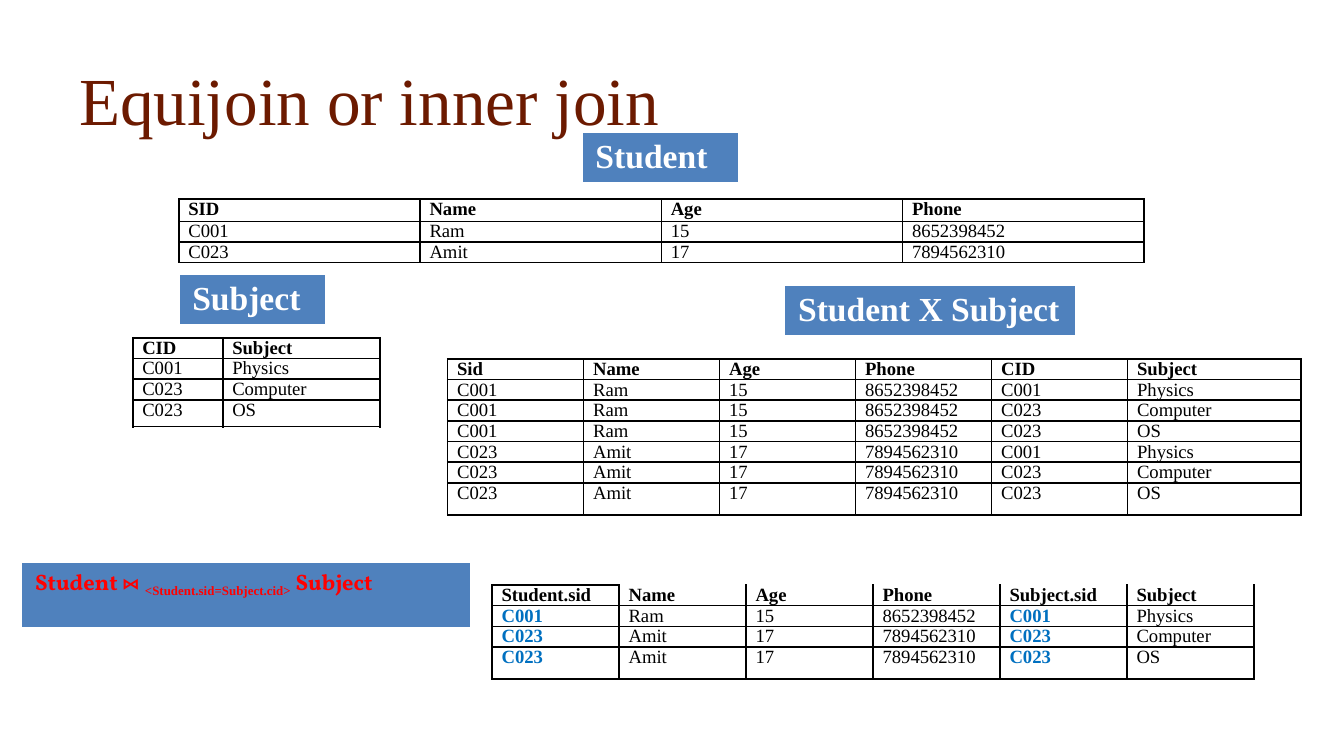
"""Builds a slide that explains the equijoin with two tables, their product and the join result."""
from itertools import product

from lxml.etree import SubElement
from pptx import Presentation
from pptx.dml.color import RGBColor
from pptx.enum.text import MSO_ANCHOR, PP_ALIGN
from pptx.oxml.ns import qn
from pptx.util import Cm, Pt

FONT = "Times New Roman"
BLACK, WHITE, RED = "000000", "FFFFFF", "FF0000"
BLUE, KEY_BLUE, BROWN = "4F81BD", "0070C0", "6C1A00"
ROW, LAST_ROW = 0.39, 0.61

TITLE = "Equijoin or inner join"
STUDENT_HEAD = ["SID", "Name", "Age", "Phone"]
STUDENTS = [
    ["C001", "Ram", "15", "8652398452"],
    ["C023", "Amit", "17", "7894562310"],
]
SUBJECT_HEAD = ["CID", "Subject"]
SUBJECTS = [["C001", "Physics"], ["C023", "Computer"], ["C023", "OS"]]
CROSS_HEAD = ["Sid", "Name", "Age", "Phone", "CID", "Subject"]
CROSS = [student + subject for student, subject in product(STUDENTS, SUBJECTS)]
JOIN_HEAD = ["Student.sid", "Name", "Age", "Phone", "Subject.sid", "Subject"]
JOINED = [row for row in CROSS if row[0] == row[4]]

LABELS = [
    ("Student", 11, 2.49, 2.97),
    ("Subject", 3.38, 5.18, 2.77),
    ("Student X Subject", 14.83, 5.38, 5.51),
]
FORMULA = [
    ("Student ", "Vollkorn", False),
    ("⋈ ", FONT, False),
    ("<Student.sid=Subject.cid>", FONT, True),
    (" Subject", "Vollkorn", False),
]


def rgb(color):
    return RGBColor.from_string(color)


def style(p, size, color, bold=False, name=FONT):
    p.font.size, p.font.bold, p.font.name = Pt(size), bold, name
    p.font.color.rgb = rgb(color)


def fill(cell, color):
    cell.fill.solid()
    cell.fill.fore_color.rgb = rgb(color)


def border(cell, sides):
    tc_pr = cell._tc.get_or_add_tcPr()
    for side in sides:
        ln = SubElement(tc_pr, qn(f"a:ln{side}"), w=str(Pt(1)))
        SubElement(SubElement(ln, qn("a:solidFill")), qn("a:srgbClr"), val=BLACK)


def add_table(s, x, y, widths, heights):
    frame = s.shapes.add_table(len(heights), len(widths), Cm(x), Cm(y),
                               Cm(sum(widths)), Cm(sum(heights)))
    table = frame.table
    for column, width in zip(table.columns, widths):
        column.width = Cm(width)
    for row, height in zip(table.rows, heights):
        row.height = Cm(height)
    return table


def add_relation(s, x, y, widths, heights, rows, keys=(), open_top=()):
    table = add_table(s, x, y, widths, heights)
    for i, row in enumerate(rows):
        for j, text in enumerate(row):
            cell = table.cell(i, j)
            cell.margin_left = cell.margin_right = Cm(0.18)
            cell.margin_top = cell.margin_bottom = 0
            border(cell, "LRB" if i == 0 and j in open_top else "LRTB")
            fill(cell, WHITE)
            is_key = i > 0 and j in keys
            p = cell.text_frame.paragraphs[0]
            p.text = text
            style(p, 10, KEY_BLUE if is_key else BLACK, i == 0 or is_key)


def add_label(s, text, x, y, width):
    cell = add_table(s, x, y, [width], [0.89]).cell(0, 0)
    fill(cell, BLUE)
    p = cell.text_frame.paragraphs[0]
    p.text = text
    style(p, 18, WHITE, True)


def add_formula(s, x, y, width, height):
    cell = add_table(s, x, y, [width], [height]).cell(0, 0)
    fill(cell, BLUE)
    p = cell.text_frame.paragraphs[0]
    style(p, 12, RED, True)
    for text, name, subscript in FORMULA:
        r = p.add_run()
        r.text, r.font.name = text, name
        if subscript:
            r.font._element.set("baseline", "-25000")


def add_title(s):
    sp = s.shapes.title
    sp.left, sp.top, sp.width, sp.height = Cm(1.24), Cm(0.79), Cm(22.91), Cm(2.13)
    tf = sp.text_frame
    tf.text, tf.vertical_anchor = TITLE, MSO_ANCHOR.MIDDLE
    p = tf.paragraphs[0]
    p.alignment = PP_ALIGN.LEFT
    style(p, 36, BROWN)


def main():
    prs = Presentation()
    prs.slide_width, prs.slide_height = Cm(25.4), Cm(14.28)
    s = prs.slides.add_slide(prs.slide_layouts[5])
    add_title(s)
    add_relation(s, 3.38, 3.76, [4.56] * 4, [0.42] + [ROW] * 2,
                 [STUDENT_HEAD] + STUDENTS)
    add_relation(s, 2.51, 6.38, [1.7, 2.97], [ROW] * 3 + [0.51],
                 [SUBJECT_HEAD] + SUBJECTS)
    add_relation(s, 8.46, 6.78, [2.57] * 5 + [3.28], [ROW] * 6 + [LAST_ROW],
                 [CROSS_HEAD] + CROSS)
    for label in LABELS:
        add_label(s, *label)
    add_formula(s, 0.41, 10.62, 8.48, 1.24)
    add_relation(s, 9.3, 11.05, [2.4] * 6, [ROW] * 3 + [LAST_ROW],
                 [JOIN_HEAD] + JOINED, keys=(0, 4), open_top=range(1, 6))
    prs.save("out.pptx")


if __name__ == "__main__":
    main()
